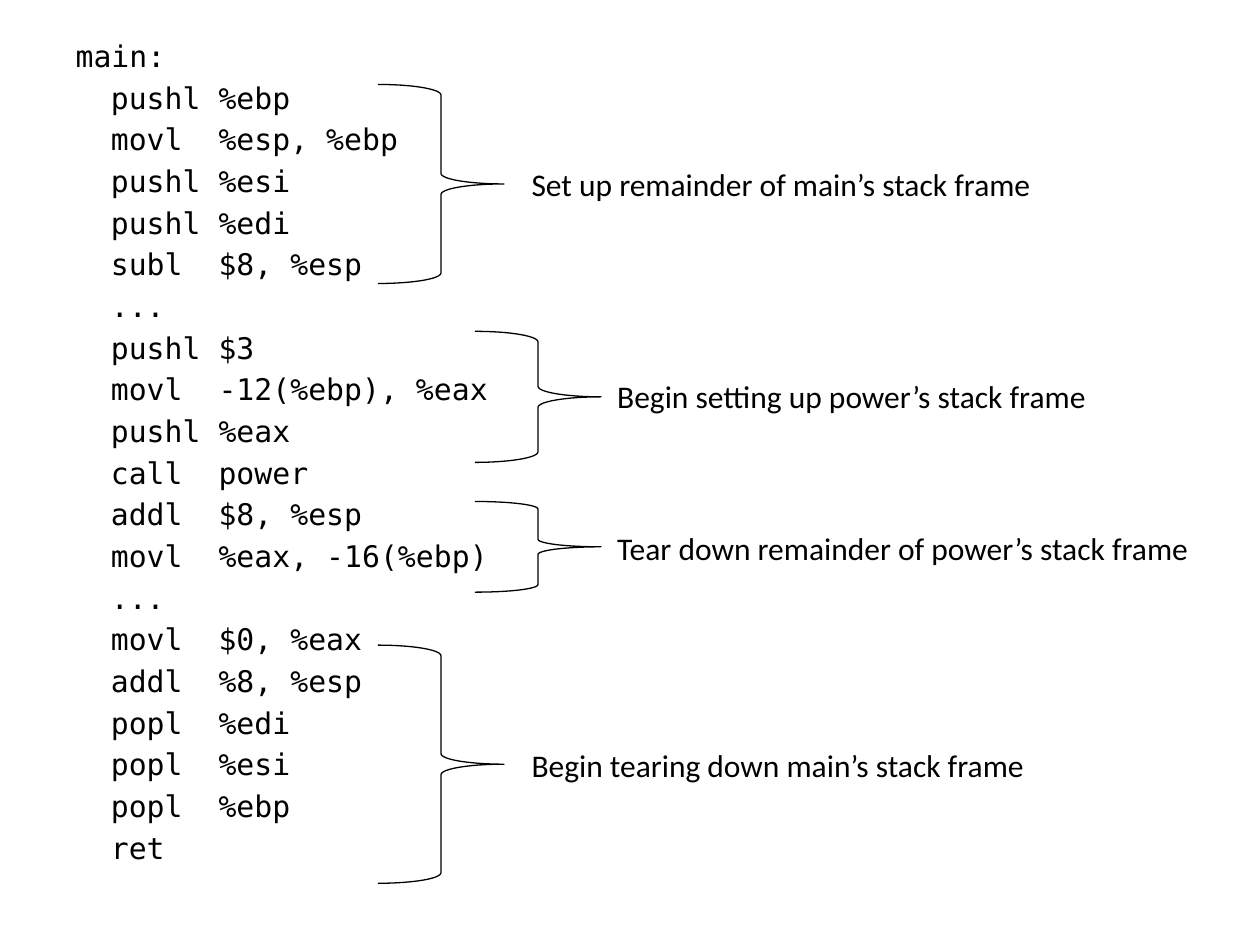
import pptx
import pptx.util
import pptx.dml.color
import pptx.enum.shapes
import pptx.enum.text
import lxml.etree
from dataclasses import dataclass

Inches = pptx.util.Inches
Pt = pptx.util.Pt


@dataclass(frozen=True)
class Theme:
    """Colours, fonts and sizes of the slide."""
    ink: pptx.dml.color.RGBColor = pptx.dml.color.RGBColor(0, 0, 0)
    code_font: str = "DejaVu Sans Mono"
    note_font: str = "Calibri"
    code_size: float = 17
    note_size: float = 18
    brace_line: float = 0.75


theme = Theme()


def write(paragraph, text, font, size, before=0):
    """Put text in a paragraph with its font, size and space before."""
    paragraph.alignment = pptx.enum.text.PP_ALIGN.LEFT
    paragraph.space_before = Pt(before)
    run = paragraph.add_run()
    run.text = text
    run.font.name = font
    run.font.size = Pt(size)
    run.font.color.rgb = theme.ink


def set_code_layout(paragraph, indent):
    """Remove the bullet and indent the code line."""
    properties = paragraph._p.get_or_add_pPr()
    properties.set("marL", str(Inches(indent)))
    properties.set("indent", "0")
    lxml.etree.SubElement(properties, "{%s}buNone" % properties.nsmap["a"])


presentation = pptx.Presentation()
presentation.slide_width = Inches(10)
presentation.slide_height = Inches(7.5)
slide = presentation.slides.add_slide(presentation.slide_layouts[1])
title = slide.shapes.title
title.element.getparent().remove(title.element)

# Assembly listing: opcodes padded to a fixed column, then operands
opcode_columns = 6
instructions = [
    ("pushl", "%ebp"), ("movl", "%esp, %ebp"), ("pushl", "%esi"),
    ("pushl", "%edi"), ("subl", "$8, %esp"), ("...", ""),
    ("pushl", "$3"), ("movl", "-12(%ebp), %eax"), ("pushl", "%eax"),
    ("call", "power"), ("addl", "$8, %esp"), ("movl", "%eax, -16(%ebp)"),
    ("...", ""), ("movl", "$0, %eax"), ("addl", "%8, %esp"),
    ("popl", "%edi"), ("popl", "%esi"), ("popl", "%ebp"), ("ret", ""),
]
listing = slide.placeholders[1]
listing.left, listing.top = Inches(0.5), Inches(0.25)
listing.width, listing.height = Inches(9), Inches(7.08)
code = listing.text_frame
code.word_wrap = True
code.auto_size = pptx.enum.text.MSO_AUTO_SIZE.NONE
code.vertical_anchor = pptx.enum.text.MSO_ANCHOR.TOP
for number, (opcode, operands) in enumerate([("main:", "")] + instructions):
    code_line = code.add_paragraph() if number else code.paragraphs[0]
    line = (opcode.ljust(opcode_columns) + operands).rstrip()
    write(code_line, line, theme.code_font, theme.code_size,
          before=0.2 * theme.code_size)
    set_code_layout(code_line, indent=0.28 if number else 0)

# Stages: brace left, top, height; note left, top; note
stages = [
    (3, 0.67, 1.58, 4.12, 1.26, "Set up remainder of main’s stack frame"),
    (3.77, 2.63, 1.04, 4.8, 2.94, "Begin setting up power’s stack frame"),
    (3.77, 3.98, 0.72, 4.8, 4.15, "Tear down remainder of power’s stack frame"),
    (3, 5.12, 1.89, 4.12, 5.87, "Begin tearing down main’s stack frame"),
]
for brace_left, brace_top, brace_height, note_left, note_top, label in stages:
    brace = slide.shapes.add_shape(
        pptx.enum.shapes.MSO_SHAPE.RIGHT_BRACE, Inches(brace_left),
        Inches(brace_top), Inches(1), Inches(brace_height))
    brace.shadow.inherit = False
    brace.fill.background()
    brace.line.color.rgb = theme.ink
    brace.line.width = Pt(theme.brace_line)

    note = slide.shapes.add_textbox(
        Inches(note_left), Inches(note_top), Inches(4.75), Inches(0.4)).text_frame
    note.word_wrap = True
    note.auto_size = pptx.enum.text.MSO_AUTO_SIZE.SHAPE_TO_FIT_TEXT
    write(note.paragraphs[0], label, theme.note_font, theme.note_size)

presentation.save("out.pptx")
